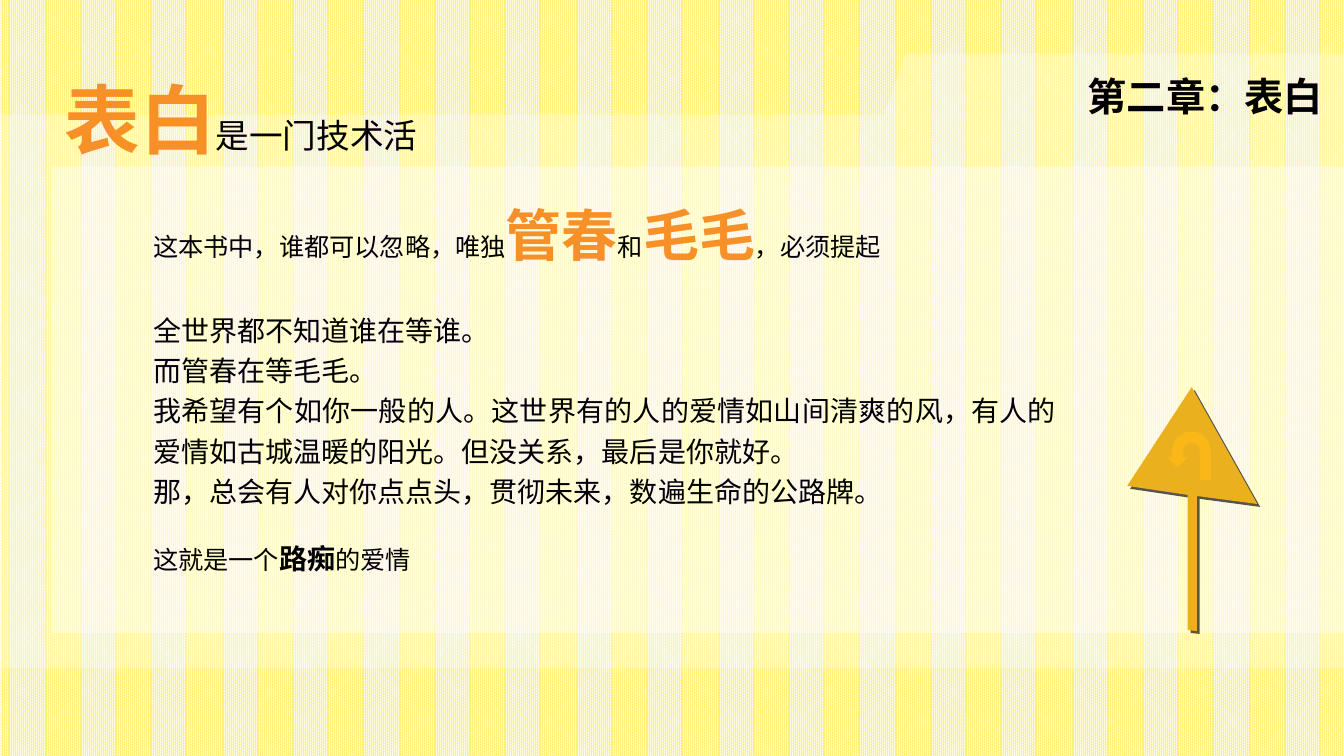
from lxml import etree
from pptx import Presentation
from pptx.dml.color import RGBColor
from pptx.enum.dml import MSO_PATTERN
from pptx.enum.shapes import MSO_SHAPE
from pptx.enum.text import MSO_AUTO_SIZE, PP_ALIGN
from pptx.oxml.ns import qn
from pptx.util import Inches, Pt

RECTANGLE = MSO_SHAPE.RECTANGLE
U_TURN = MSO_SHAPE.U_TURN_ARROW
DOTS = MSO_PATTERN.PERCENT_90
GROW = MSO_AUTO_SIZE.SHAPE_TO_FIT_TEXT
LEFT, JUSTIFY = PP_ALIGN.LEFT, PP_ALIGN.JUSTIFY

COLORS = {"yellow": "FFF07D", "white": "FFFFFF", "black": "000000",
          "orange": "F89028", "sign": "EBB01E", "turn": "F9B817"}
LATIN, CJK = "Calibri", "Noto Sans CJK JP"
SLIDE_W, SLIDE_H = 13.33, 7.5
TEXT_LEFT = 1.42


def rgb(name):
    return RGBColor.from_string(COLORS[name])


def paint(shape, color, opacity=100):
    shape.shadow.inherit = False
    shape.fill.solid()
    shape.fill.fore_color.rgb = rgb(color)
    shape.line.fill.background()
    if opacity < 100:
        tint = shape.fill._xPr.find(qn("a:solidFill"))[0]
        etree.SubElement(tint, qn("a:alpha"), val=str(opacity * 1000))


def add_preset(slide, kind, box, color, opacity=100):
    shape = slide.shapes.add_shape(kind, *map(Inches, box))
    paint(shape, color, opacity)
    return shape


def add_outline(slide, points, color, opacity=100):
    corners = [(Inches(x), Inches(y)) for x, y in points]
    builder = slide.shapes.build_freeform(*corners[0])
    builder.add_line_segments(corners[1:], close=True)
    shape = builder.convert_to_shape()
    paint(shape, color, opacity)
    return shape


def add_drop_shadow(shape):
    effects = shape._element.spPr.find(qn("a:effectLst"))
    shadow = etree.SubElement(effects, qn("a:outerShdw"), blurRad="0",
                              dist=str(Pt(3)), dir="2700000", algn="tl", rotWithShape="0")
    tint = etree.SubElement(shadow, qn("a:srgbClr"), val=COLORS["black"])
    etree.SubElement(tint, qn("a:alpha"), val="65000")


def add_text(slide, box, paragraphs, align=LEFT, spacing=None):
    """Each paragraph is a list of (text, size, font, color, bold) runs."""
    frame = slide.shapes.add_textbox(*map(Inches, box)).text_frame
    frame.word_wrap = True
    frame.auto_size = GROW
    for i, runs in enumerate(paragraphs):
        paragraph = frame.add_paragraph() if i else frame.paragraphs[0]
        paragraph.alignment = align
        if spacing:
            paragraph.line_spacing = spacing
        for text, size, font, color, bold in runs:
            run = paragraph.add_run()
            run.text = text
            run.font.size = Pt(size)
            run.font.bold = bold
            run.font.color.rgb = rgb(color)
            run.font.name = font
            properties = run._r.get_or_add_rPr()
            properties.set("lang", "zh-CN")
            east_asian = etree.Element(qn("a:ea"), typeface=CJK)
            properties.find(qn("a:latin")).addnext(east_asian)


def plain(text, size=18, font=LATIN):
    return text, size, font, "black", False


def strong(text, size, font=CJK, color="orange"):
    return text, size, font, color, True


def add_backdrop(slide):
    fill = slide.background.fill
    fill.patterned()
    fill.pattern = DOTS
    fill.fore_color.rgb = rgb("yellow")
    fill.back_color.rgb = rgb("white")
    add_preset(slide, RECTANGLE, (0, 1.14, SLIDE_W, 5.49), "white", 30)
    add_preset(slide, RECTANGLE, (0.51, 1.65, SLIDE_W - 0.51, 4.63), "white", 40)
    chapter_tab = [(8.98, 0.53), (SLIDE_W, 0.53), (SLIDE_W, 1.14), (8.77, 1.14)]
    add_outline(slide, chapter_tab, "white", 30)


def add_road_sign(slide):
    outline = [(11.82, 3.84), (12.47, 5), (11.87, 4.92), (11.87, 6.26),
               (11.78, 6.25), (11.78, 4.91), (11.18, 4.82)]
    add_drop_shadow(add_outline(slide, outline, "sign"))
    turn = add_preset(slide, U_TURN, (11.57, 4.28, 0.44, 0.48), "turn")
    turn._element.spPr.find(qn("a:xfrm")).set("flipH", "1")


def main():
    prs = Presentation()
    prs.slide_width, prs.slide_height = Inches(SLIDE_W), Inches(SLIDE_H)
    slide = prs.slides.add_slide(prs.slide_layouts[6])
    add_backdrop(slide)

    # Chapter and headline
    add_text(slide, (10.69, 0.67, 2.65, 0.57),
             [[strong("第二章：表白", 28, color="black")]])
    add_text(slide, (0.54, 0.67, 4.81, 1.01),
             [[strong("表白", 54), plain("是一门技术活", 24, CJK)]])

    # Story
    add_text(slide, (TEXT_LEFT, 1.94, 9.44, 0.77),
             [[plain("这本书中，谁都可以忽略，唯独"), strong("管春", 40), plain("和"),
               strong("毛毛", 40), plain("，必须提起")]])
    story = ["全世界都不知道谁在等谁。",
             "而管春在等毛毛。",
             "我希望有个如你一般的人。这世界有的人的爱情如山间清爽的风，有人的"
             "爱情如古城温暖的阳光。但没关系，最后是你就好。",
             "那，总会有人对你点点头，贯彻未来，数遍生命的公路牌。"]
    add_text(slide, (TEXT_LEFT, 2.99, 9.15, 2.12),
             [[plain(line, 20)] for line in story], JUSTIFY, 1.2)

    add_road_sign(slide)

    # Closing line
    add_text(slide, (TEXT_LEFT, 5.32, 3.77, 0.44),
             [[plain("这就是一个"), strong("路痴", 20, LATIN, "black"), plain("的爱情")]])
    prs.save("out.pptx")


if __name__ == "__main__":
    main()
